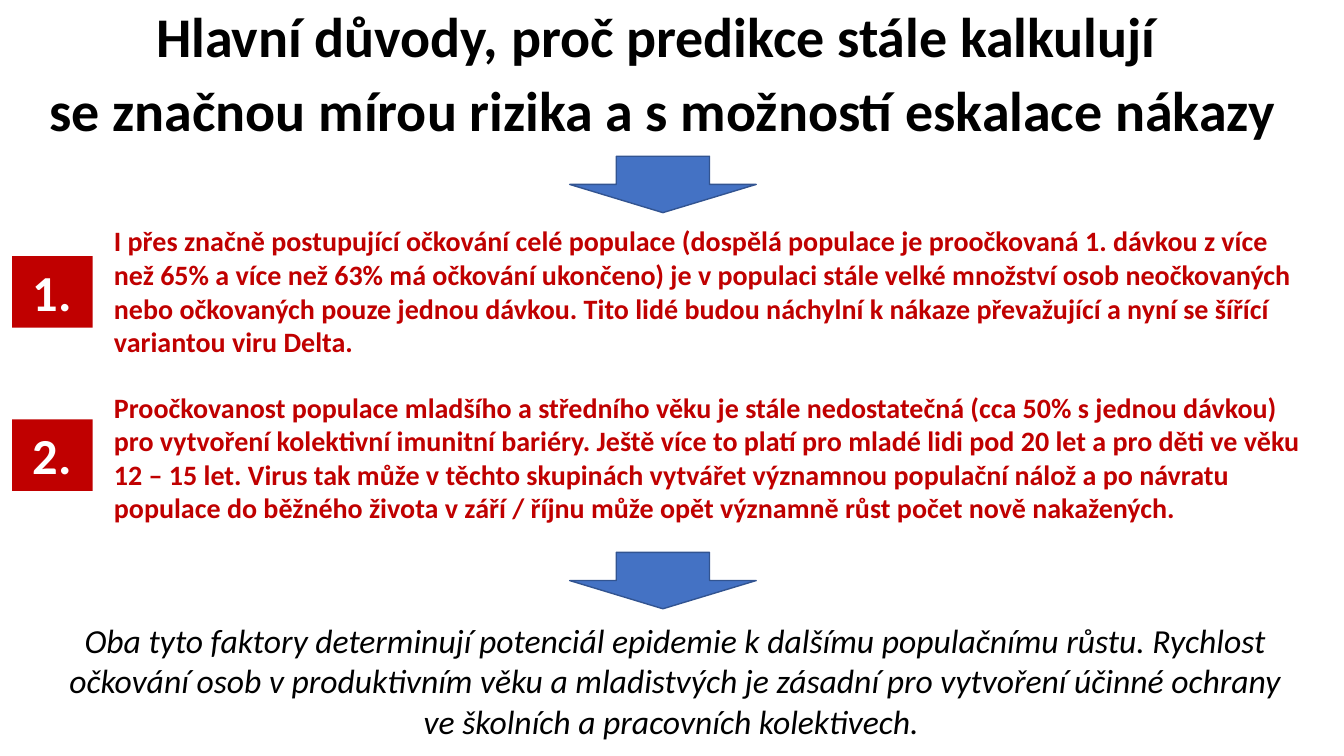
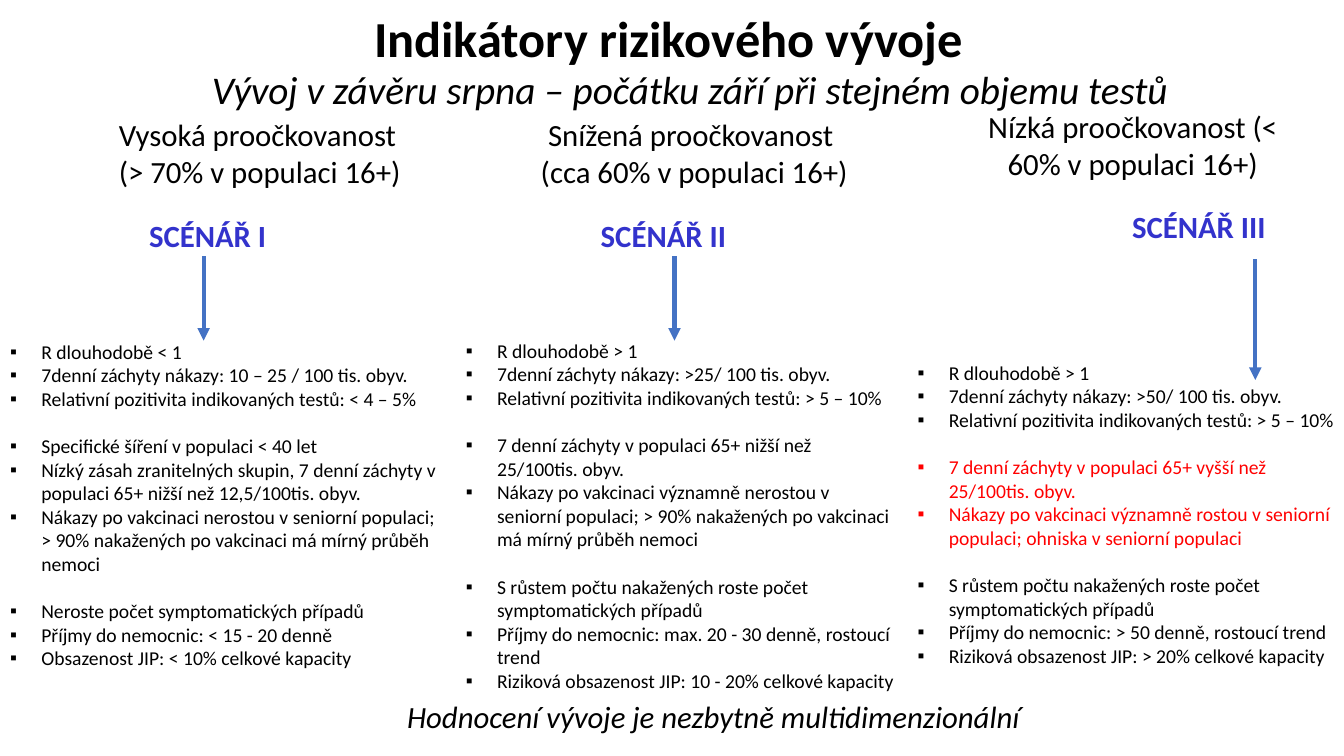
from pptx import Presentation
from pptx.dml.color import RGBColor
from pptx.enum.shapes import MSO_CONNECTOR, MSO_SHAPE
from pptx.enum.text import MSO_ANCHOR, MSO_AUTO_SIZE, PP_ALIGN
from pptx.oxml.ns import qn
from pptx.util import Inches, Pt
from lxml.etree import SubElement

FONT = "Calibri"
BLACK = RGBColor(0x00, 0x00, 0x00)
WHITE = RGBColor(0xFF, 0xFF, 0xFF)
CRIMSON = RGBColor(0xC0, 0x00, 0x00)
RED = RGBColor(0xFF, 0x00, 0x00)
BLUE = RGBColor(0x44, 0x72, 0xC4)
DARK_BLUE = RGBColor(0x32, 0x54, 0x91)
SCENARIO_BLUE = RGBColor(0x33, 0x33, 0xCC)
LEFT, CENTER = PP_ALIGN.LEFT, PP_ALIGN.CENTER
COMPARISON_LAYOUT = 4
BULLET_INDENT = Inches(0.31)
GROUP_GAP = Pt(17)

REASONS_TITLE = [
    "Hlavní důvody, proč predikce stále kalkulují ",
    "se značnou mírou rizika a s možností eskalace nákazy",
]
# placeholder index, text top, badge top, text
REASONS = [
    (1, 2.17, 2.54,
     "I přes značně postupující očkování celé populace (dospělá populace je "
     "proočkovaná 1. dávkou z více než 65% a více než 63% má očkování ukončeno) "
     "je v populaci stále velké množství osob neočkovaných nebo očkovaných pouze "
     "jednou dávkou. Tito lidé budou náchylní k nákaze převažující a nyní se "
     "šířící variantou viru Delta."),
    (3, 3.82, 4.16,
     "Proočkovanost populace mladšího a středního věku je stále nedostatečná "
     "(cca 50% s jednou dávkou) pro vytvoření kolektivní imunitní bariéry. Ještě "
     "více to platí pro mladé lidi pod 20 let a pro děti ve věku 12 – 15 let. "
     "Virus tak může v těchto skupinách vytvářet významnou populační nálož a po "
     "návratu populace do běžného života v září / říjnu může opět významně růst "
     "počet nově nakažených."),
]
DOWN_ARROW_TOPS = [1.55, 5.48]
CONCLUSION = (
    "Oba tyto faktory determinují potenciál epidemie k dalšímu populačnímu růstu. "
    "Rychlost očkování osob v produktivním věku a mladistvých je zásadní pro "
    "vytvoření účinné ochrany ve školních a pracovních kolektivech. "
)

INDICATORS_TITLE = "Indikátory rizikového vývoje "
INDICATORS_SUBTITLE = "Vývoj v závěru srpna – počátku září při stejném objemu testů "
INDICATORS_FOOTER = "Hodnocení vývoje je nezbytně multidimenzionální"
SCENARIOS = [
    {
        "coverage": ["Vysoká proočkovanost (> 70% v populaci 16+)"],
        "coverage_box": (1.08, 1.1, 3.07, 0.84), "coverage_align": LEFT,
        "name": "SCÉNÁŘ I", "name_at": (1.38, 2.1),
        "arrow": (2.02, 2.54, 3.38),
        "placeholder": 1, "list_box": (0, 3.32, 4.48, 3.4),
        "groups": [
            (BLACK, ["R dlouhodobě < 1",
                     "7denní záchyty nákazy: 10 – 25 / 100 tis. obyv.",
                     "Relativní pozitivita indikovaných testů: < 4 – 5%"]),
            (BLACK, ["Specifické šíření v populaci < 40 let",
                     "Nízký zásah zranitelných skupin, 7 denní záchyty v populaci "
                     "65+ nižší než 12,5/100tis. obyv.",
                     "Nákazy po vakcinaci nerostou v seniorní populaci; > 90% "
                     "nakažených po vakcinaci má mírný průběh nemoci"]),
            (BLACK, ["Neroste počet symptomatických případů",
                     "Příjmy do nemocnic: < 15 - 20 denně",
                     "Obsazenost JIP: < 10% celkové kapacity"]),
        ],
    },
    {
        "coverage": ["Snížená proočkovanost ", "(cca 60% v populaci 16+)"],
        "coverage_box": (5.24, 1.1, 3.29, 0.84), "coverage_align": CENTER,
        "name": "SCÉNÁŘ II", "name_at": (5.86, 2.1),
        "arrow": (6.69, 2.54, 3.38),
        "placeholder": 2, "list_box": (4.52, 3.31, 4.48, 3.64),
        "groups": [
            (BLACK, ["R dlouhodobě > 1",
                     "7denní záchyty nákazy: >25/ 100 tis. obyv.",
                     "Relativní pozitivita indikovaných testů: > 5 – 10%"]),
            (BLACK, ["7 denní záchyty v populaci 65+ nižší než 25/100tis. obyv.",
                     "Nákazy po vakcinaci významně nerostou v seniorní populaci; "
                     "> 90% nakažených po vakcinaci má mírný průběh nemoci"]),
            (BLACK, ["S růstem počtu nakažených roste počet symptomatických případů",
                     "Příjmy do nemocnic: max. 20 - 30 denně, rostoucí trend",
                     "Riziková obsazenost JIP: 10 - 20% celkové kapacity"]),
        ],
    },
    {
        "coverage": ["Nízká proočkovanost (< 60% v populaci 16+)"],
        "coverage_box": (9.7, 1.02, 3.07, 0.84), "coverage_align": CENTER,
        "name": "SCÉNÁŘ III", "name_at": (11.13, 2.01),
        "arrow": (12.45, 2.57, 3.77),
        "placeholder": 4, "list_box": (9, 3.53, 4.48, 3.16),
        "groups": [
            (BLACK, ["R dlouhodobě > 1",
                     "7denní záchyty nákazy: >50/ 100 tis. obyv.",
                     "Relativní pozitivita indikovaných testů: > 5 – 10%"]),
            (RED, ["7 denní záchyty v populaci 65+ vyšší než 25/100tis. obyv.",
                   "Nákazy po vakcinaci významně rostou v seniorní populaci; "
                   "ohniska v seniorní populaci"]),
            (BLACK, ["S růstem počtu nakažených roste počet symptomatických případů",
                     "Příjmy do nemocnic: > 50 denně, rostoucí trend",
                     "Riziková obsazenost JIP: > 20% celkové kapacity"]),
        ],
    },
]


def inches(box):
    return [Inches(length) for length in box]


def place(holder, box):
    holder.left, holder.top, holder.width, holder.height = inches(box)
    return holder


def format_paragraph(paragraph, size, color=BLACK, bold=False, italic=False, align=LEFT):
    paragraph.alignment = align
    font = paragraph.font
    font.name, font.size, font.bold, font.italic = FONT, Pt(size), bold, italic
    font.color.rgb = color


def write(holder, lines, size, line_spacing=1.0, gap=0, **style):
    """Fill a box from the top, one paragraph a line, with gap points between."""
    frame = start_text(holder)
    for number, line in enumerate(lines):
        paragraph = frame.add_paragraph() if number else frame.paragraphs[0]
        paragraph.text = line
        paragraph.line_spacing = line_spacing
        paragraph.space_before = Pt(gap if number else 0)
        format_paragraph(paragraph, size, **style)


def start_text(holder):
    frame = holder.text_frame
    frame.word_wrap = True
    frame.auto_size = MSO_AUTO_SIZE.NONE
    frame.vertical_anchor = MSO_ANCHOR.TOP
    return frame


def write_groups(holder, groups):
    """Write bulleted items, with a wider gap above each later group."""
    frame = start_text(holder)
    paragraph = frame.paragraphs[0]
    for group_number, (color, items) in enumerate(groups):
        for item_number, item in enumerate(items):
            if group_number or item_number:
                paragraph = frame.add_paragraph()
            paragraph.text = item
            properties = paragraph._p.get_or_add_pPr()
            properties.set("marL", str(BULLET_INDENT))
            properties.set("indent", str(-BULLET_INDENT))
            SubElement(properties, qn("a:buChar")).set("char", "▪")
            opens_group = group_number and not item_number
            paragraph.space_before = GROUP_GAP if opens_group else Pt(0)
            format_paragraph(paragraph, 14, color)


def add_text(slide, box, lines, size, **style):
    write(slide.shapes.add_textbox(*inches(box)), lines, size, **style)


def add_filled(slide, preset, box, fill, outline=None):
    shape = slide.shapes.add_shape(preset, *inches(box))
    shape.shadow.inherit = False
    shape.fill.solid()
    shape.fill.fore_color.rgb = fill
    if outline is None:
        shape.line.fill.background()
    else:
        shape.line.color.rgb = outline
        shape.line.width = Pt(1)
    return shape


def add_arrow(slide, x, top, bottom):
    arrow = slide.shapes.add_connector(MSO_CONNECTOR.STRAIGHT, *inches((x, top, x, bottom)))
    arrow.line.color.rgb = BLUE
    arrow.line.width = Pt(3)
    SubElement(arrow.line._get_or_add_ln(), qn("a:tailEnd")).set("type", "triangle")
    SubElement(arrow._element.spPr, qn("a:effectLst"))


def add_slide(deck, title_lines, title_box, size, **style):
    slide = deck.slides.add_slide(deck.slide_layouts[COMPARISON_LAYOUT])
    title = place(slide.shapes.title, title_box)
    write(title, title_lines, size, bold=True, align=CENTER, **style)
    return slide


def remove_empty_placeholders(slide):
    for holder in list(slide.placeholders):
        if not holder.text_frame.text:
            holder._element.getparent().remove(holder._element)


def build_reasons(deck):
    slide = add_slide(deck, REASONS_TITLE, (0.22, 0.04, 12.7, 1.45), 40,
                      line_spacing=0.9, gap=10)
    for number, (index, top, badge_top, reason) in enumerate(REASONS, 1):
        holder = place(slide.placeholders[index], (1.03, top, 11.99, 1.45))
        write(holder, [reason], 20, color=CRIMSON, bold=True)
        badge = add_filled(slide, MSO_SHAPE.RECTANGLE, (0.12, badge_top, 0.8, 0.71), CRIMSON)
        write(badge, [f"{number}."], 36, color=WHITE, bold=True, align=CENTER)
    for top in DOWN_ARROW_TOPS:
        add_filled(slide, MSO_SHAPE.DOWN_ARROW, (5.65, top, 1.85, 0.56), BLUE, DARK_BLUE)
    add_text(slide, (0.45, 6.1, 12.49, 1.31), [CONCLUSION], 24, italic=True, align=CENTER)
    remove_empty_placeholders(slide)


def build_indicators(deck):
    slide = add_slide(deck, [INDICATORS_TITLE], (0.19, 0.02, 13, 0.71), 36)
    subtitle = place(slide.placeholders[3], (1.83, 0.6, 10.11, 0.57))
    write(subtitle, [INDICATORS_SUBTITLE], 28, italic=True, align=CENTER)
    for scenario in SCENARIOS:
        add_text(slide, scenario["coverage_box"], scenario["coverage"], 22,
                 align=scenario["coverage_align"])
        add_text(slide, (*scenario["name_at"], 2.06, 0.47), [scenario["name"]], 22,
                 color=SCENARIO_BLUE, bold=True)
        add_arrow(slide, *scenario["arrow"])
        holder = place(slide.placeholders[scenario["placeholder"]], scenario["list_box"])
        write_groups(holder, scenario["groups"])
    add_text(slide, (2.02, 6.87, 10.11, 0.47), [INDICATORS_FOOTER], 22,
             italic=True, align=CENTER)


def main():
    deck = Presentation()
    deck.slide_width, deck.slide_height = Inches(13.33), Inches(7.5)
    build_reasons(deck)
    build_indicators(deck)
    deck.save("out.pptx")


if __name__ == "__main__":
    main()
